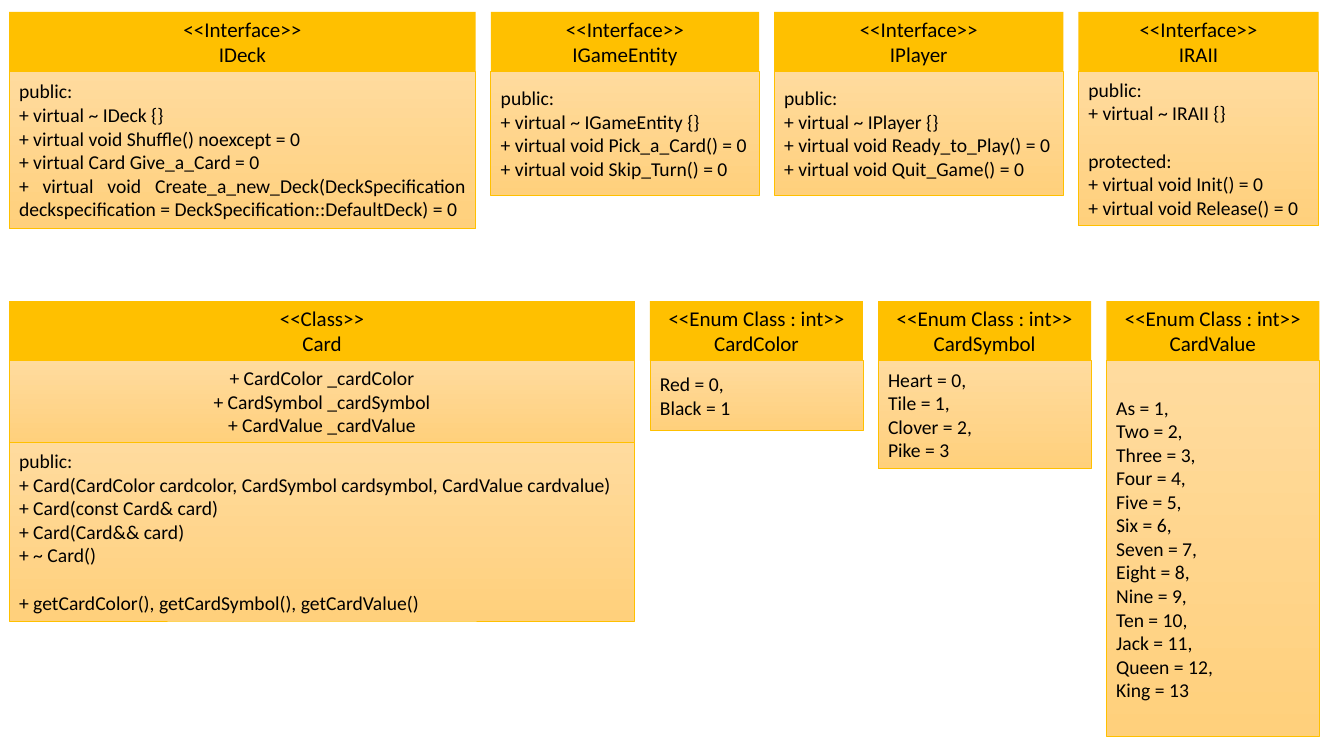
from dataclasses import dataclass

from pptx import Presentation
from pptx import util as u
from pptx.dml.color import RGBColor
from pptx.enum import shapes, text


@dataclass(frozen=True)
class Theme:
    font: str = "Calibri"
    ink: RGBColor = RGBColor(0, 0, 0)
    gold: RGBColor = RGBColor(0xFF, 0xC0, 0x00)
    light: RGBColor = RGBColor(0xFF, 0xDB, 0x9E)
    deep: RGBColor = RGBColor(0xFF, 0xD0, 0x7C)
    title_size: int = 15
    body_size: int = 14
    section_gap: int = 17
    header_height: float = 1.5
    box_gap: float = 0.38


class Diagram:
    def __init__(self, slide, theme):
        self.slide, self.theme = slide, theme

    def box(self, x, y, w, h, sections, size, align):
        """Rectangle with text; sections are set apart by one line of space."""
        s = self.slide.shapes.add_shape(
            shapes.MSO_SHAPE.RECTANGLE, u.Cm(x), u.Cm(y), u.Cm(w), u.Cm(h))
        s.shadow.inherit = False
        tf = s.text_frame
        tf.word_wrap = True
        tf.vertical_anchor = text.MSO_ANCHOR.MIDDLE
        tf.text = "\n".join(line for lines in sections for line in lines)
        for p in tf.paragraphs:
            p.alignment = align
            for r in p.runs:
                r.font.name = self.theme.font
                r.font.size = u.Pt(size)
                r.font.color.rgb = self.theme.ink
        start = 0
        for lines in sections[:-1]:
            start += len(lines)
            tf.paragraphs[start].space_before = u.Pt(self.theme.section_gap)
        return s

    def header(self, x, y, w, stereotype, name):
        s = self.box(x, y, w, self.theme.header_height,
                     [[f"<<{stereotype}>>", name]],
                     self.theme.title_size, text.PP_ALIGN.CENTER)
        s.fill.solid()
        s.fill.fore_color.rgb = self.theme.gold
        s.line.fill.background()

    def compartment(self, x, y, w, h, sections, align):
        s = self.box(x, y, w, h, sections, self.theme.body_size, align)
        s.fill.gradient()
        s.fill.gradient_angle = 270
        for stop, color in zip(s.fill.gradient_stops,
                               (self.theme.light, self.theme.deep)):
            stop.color.rgb = color
        s.line.color.rgb = self.theme.gold
        s.line.width = u.Pt(0.5)

    def entity(self, x, y, w, stereotype, name, compartments):
        self.header(x, y, w, stereotype, name)
        y += self.theme.header_height
        for h, align, sections in compartments:
            self.compartment(x, y, w, h, sections, align)
            y += h

    def row(self, x, y, entities):
        for w, stereotype, name, compartments in entities:
            self.entity(x, y, w, stereotype, name, compartments)
            x += w + self.theme.box_gap


prs = Presentation()
prs.slide_width, prs.slide_height = u.Cm(33.87), u.Cm(19.05)
diagram = Diagram(prs.slides.add_slide(prs.slide_layouts[6]), Theme())
CENTER, JUSTIFY = text.PP_ALIGN.CENTER, text.PP_ALIGN.JUSTIFY
LEFT_EDGE = 0.23
ENUM, ENUM_WIDTH = "Enum Class : int", 5.37

# Interfaces: width, stereotype, name, compartments (height, alignment, sections)
diagram.row(LEFT_EDGE, 0.3, [
    (11.76, "Interface", "IDeck", [(3.96, JUSTIFY, [[
        "public: ",
        "+ virtual ~ IDeck {}",
        "+ virtual void Shuffle() noexcept = 0",
        "+ virtual Card Give_a_Card = 0",
        "+ virtual void Create_a_new_Deck(DeckSpecification "
        "deckspecification = DeckSpecification::DefaultDeck) = 0",
    ]])]),
    (6.76, "Interface", "IGameEntity", [(3.12, JUSTIFY, [[
        "public:",
        "+ virtual ~ IGameEntity {}",
        "+ virtual void Pick_a_Card() = 0",
        "+ virtual void Skip_Turn() = 0",
    ]])]),
    (7.29, "Interface", "IPlayer", [(3.12, JUSTIFY, [[
        "public:",
        "+ virtual ~ IPlayer {}",
        "+ virtual void Ready_to_Play() = 0",
        "+ virtual void Quit_Game() = 0",
    ]])]),
    (6.05, "Interface", "IRAII", [(3.89, JUSTIFY, [
        ["public:", "+ virtual ~ IRAII {}"],
        ["protected:", "+ virtual void Init() = 0",
         "+ virtual void Release() = 0"],
    ])]),
])

# Card class and its enums
card_values = ["As", "Two", "Three", "Four", "Five", "Six", "Seven", "Eight",
               "Nine", "Ten", "Jack", "Queen", "King"]


def enum_lines(names, first):
    return ",\n".join(f"{n} = {i}" for i, n in enumerate(names, first)).split("\n")


diagram.row(LEFT_EDGE, 7.59, [
    (15.77, "Class", "Card", [
        (2.06, CENTER, [[
            "+ CardColor _cardColor",
            "+ CardSymbol _cardSymbol",
            "+ CardValue _cardValue",
        ]]),
        (4.5, JUSTIFY, [
            ["public:",
             "+ Card(CardColor cardcolor, CardSymbol cardsymbol, "
             "CardValue cardvalue)",
             "+ Card(const Card& card)",
             "+ Card(Card&& card)",
             "+ ~ Card()"],
            ["+ getCardColor(), getCardSymbol(), getCardValue()"],
        ]),
    ]),
    (ENUM_WIDTH, ENUM, "CardColor",
     [(1.75, JUSTIFY, [enum_lines(["Red", "Black"], 0)])]),
    (ENUM_WIDTH, ENUM, "CardSymbol",
     [(2.72, JUSTIFY, [enum_lines(["Heart", "Tile", "Clover", "Pike"], 0)])]),
    (ENUM_WIDTH, ENUM, "CardValue",
     [(9.47, JUSTIFY, [enum_lines(card_values, 1)])]),
])

prs.save("out.pptx")
